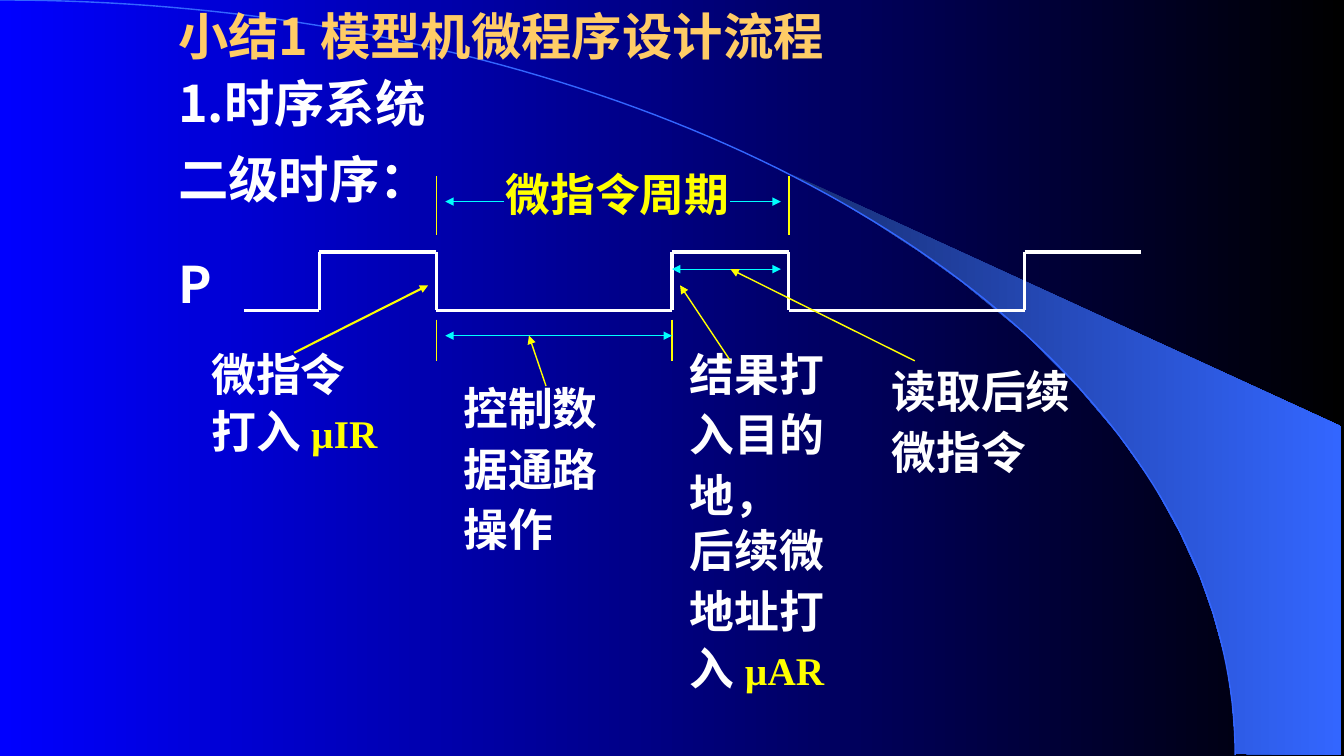
from dataclasses import dataclass
from itertools import pairwise
from math import cos, pi, sin

from lxml import etree
from pptx import Presentation
from pptx.dml.color import RGBColor
from pptx.enum.shapes import MSO_CONNECTOR
from pptx.enum.text import MSO_AUTO_SIZE
from pptx.oxml.ns import qn
from pptx.util import Inches, Pt

STRAIGHT = MSO_CONNECTOR.STRAIGHT
GROW = MSO_AUTO_SIZE.SHAPE_TO_FIT_TEXT
SANS, SERIF = "Noto Sans CJK SC", "Times New Roman"
WHITE, YELLOW, CYAN = "FFFFFF", "FFFF00", "00FFFF"
GOLD, BLUE, NAVY = "FFCC66", "3366FF", "182F76"


@dataclass
class Line:
    x1: float
    y1: float
    x2: float
    y2: float
    color: str = YELLOW
    width: float = 1
    head: bool = False
    tail: bool = False


@dataclass
class Label:
    left: float
    top: float
    width: float
    height: float
    rows: list[str]
    term: str = ""
    size: int = 32
    color: str = WHITE
    font: str = SERIF
    pitch: float = 0.6


LABELS = [
    Label(1.67, 0, 7.17, 0.7, ["小结1 模型机微程序设计流程"], size=36, color=GOLD, font=SANS, pitch=1),
    Label(1.67, 0.67, 4, 0.7, ["1.时序系统"], size=36, font=SANS, pitch=1),
    Label(1.67, 2.67, 1.17, 0.46, ["P"], size=36, font=SANS),
    Label(4.92, 1.75, 2.64, 0.85, ["微指令周期"], color=YELLOW, font=SANS, pitch=0.7),
    Label(2, 3.58, 2.58, 0.99, ["微指令", "打入 "], term="µIR"),
    Label(1.67, 1.58, 3.83, 0.52, ["二级时序："], size=36, font=SANS, pitch=0.7),
    Label(4.5, 3.92, 2.58, 1.62, ["控制数", "据通路", "操作"]),
    Label(6.75, 3.58, 2.58, 1.62, ["结果打", "入目的", "地，"]),
    Label(8.75, 3.75, 2.58, 1.02, ["读取后续", "微指令"]),
    Label(6.75, 5.33, 2.58, 1.58, ["后续微", "地址打", "入 "], term="µAR"),
]

HIGH, LOW = 2.5, 3.08
RISES, FALLS = (3.17, 6.67, 10.17), (4.33, 7.83, 11.33)
WAVE = [(2.42, LOW)]
for rise, fall in zip(RISES, FALLS):
    WAVE += [(rise, LOW), (rise, HIGH), (fall, HIGH), (fall, LOW)]
WAVE.pop()

LINES = [Line(*a, *b, WHITE, 2.25) for a, b in pairwise(WAVE)]
LINES += [Line(x, 1.75, x, 2.33) for x in FALLS[:2]]
LINES += [Line(x, 3.17, x, 3.58) for x in (FALLS[0], RISES[1])]
LINES += [
    Line(4.42, 2, 5, 2, CYAN, 0.75, head=True),
    Line(7.25, 2, 7.75, 2, CYAN, 0.75, tail=True),
    Line(4.42, 3.33, 6.67, 3.33, CYAN, 0.75, head=True, tail=True),
    Line(6.67, 2.67, 7.75, 2.67, CYAN, 0.75, head=True, tail=True),
    Line(2.92, 3.5, 4.25, 2.83, width=1.5, tail=True),
    Line(6.75, 2.83, 7.25, 3.58, head=True),
    Line(7.25, 2.67, 9.08, 3.58, head=True),
    Line(5.42, 3.83, 5.25, 3.33, tail=True),
]

BAND = [
    (12.27, 7.48), (13.31, 7.49), (13.31, 4.23), (7.86, 1.73), (8.32, 1.99),
    (8.7, 2.22), (9.13, 2.5), (9.55, 2.8), (10.16, 3.3), (10.7, 3.84),
    (11.1, 4.31), (11.44, 4.79), (11.71, 5.28), (11.91, 5.72),
    (12.04, 6.09), (12.17, 6.56), (12.23, 6.96),
]
STEPS = 90
TURNS = [pi / 2 * i / STEPS for i in range(STEPS + 1)]
ARC = [(12.26 * sin(t), 7.49 * (1 - cos(t))) for t in TURNS]


def rgb(code: str) -> RGBColor:
    return RGBColor.from_string(code)


def shade(fill, first: str, last: str) -> None:
    fill.gradient()
    fill.gradient_angle = 0
    for stop, code in zip(fill.gradient_stops, (first, last)):
        stop.color.rgb = rgb(code)


def outline(slide, points: list, close: bool):
    spots = [(Inches(x), Inches(y)) for x, y in points]
    pen = slide.shapes.build_freeform(*spots[0])
    pen.add_line_segments(spots[1:], close=close)
    shape = pen.convert_to_shape()
    shape.shadow.inherit = False
    return shape


def draw_line(slide, item: Line) -> None:
    ends = [Inches(v) for v in (item.x1, item.y1, item.x2, item.y2)]
    link = slide.shapes.add_connector(STRAIGHT, *ends)
    link.line.color.rgb = rgb(item.color)
    link.line.width = Pt(item.width)
    props = link._element.spPr
    for tag, shown in (("a:headEnd", item.head), ("a:tailEnd", item.tail)):
        if shown:
            etree.SubElement(props.find(qn("a:ln")), qn(tag), type="triangle")
    etree.SubElement(props, qn("a:effectLst"))


def style(run, font: str, size: int, color: str) -> None:
    run.font.name = font
    run.font.size = Pt(size)
    run.font.bold = True
    run.font.color.rgb = rgb(color)
    etree.SubElement(run._r.get_or_add_rPr(), qn("a:ea"), typeface=SANS)


def draw_label(slide, item: Label) -> None:
    area = [Inches(v) for v in (item.left, item.top, item.width, item.height)]
    frame = slide.shapes.add_textbox(*area).text_frame
    frame.word_wrap = True
    frame.auto_size = GROW
    frame.text = "\n".join(item.rows)
    for row, para in enumerate(frame.paragraphs):
        para.line_spacing = item.pitch
        if row:
            para.space_before = Pt(20)
        style(para.runs[0], item.font, item.size, item.color)
    if item.term:
        last = frame.paragraphs[-1]
        last.space_before = Pt(17.5)
        run = last.add_run()
        run.text = item.term
        style(run, SERIF, 28, YELLOW)


def main() -> None:
    deck = Presentation()
    deck.slide_width, deck.slide_height = Inches(13.34), Inches(7.5)
    slide = deck.slides.add_slide(deck.slide_layouts[6])
    shade(slide.background.fill, "0000FF", "000000")
    band = outline(slide, BAND, True)
    shade(band.fill, NAVY, BLUE)
    band.line.fill.background()
    arc = outline(slide, ARC, False)
    arc.fill.background()
    arc.line.color.rgb = rgb(BLUE)
    arc.line.width = Pt(1)
    for label in LABELS:
        draw_label(slide, label)
    for line in LINES:
        draw_line(slide, line)
    deck.save("out.pptx")


if __name__ == "__main__":
    main()
